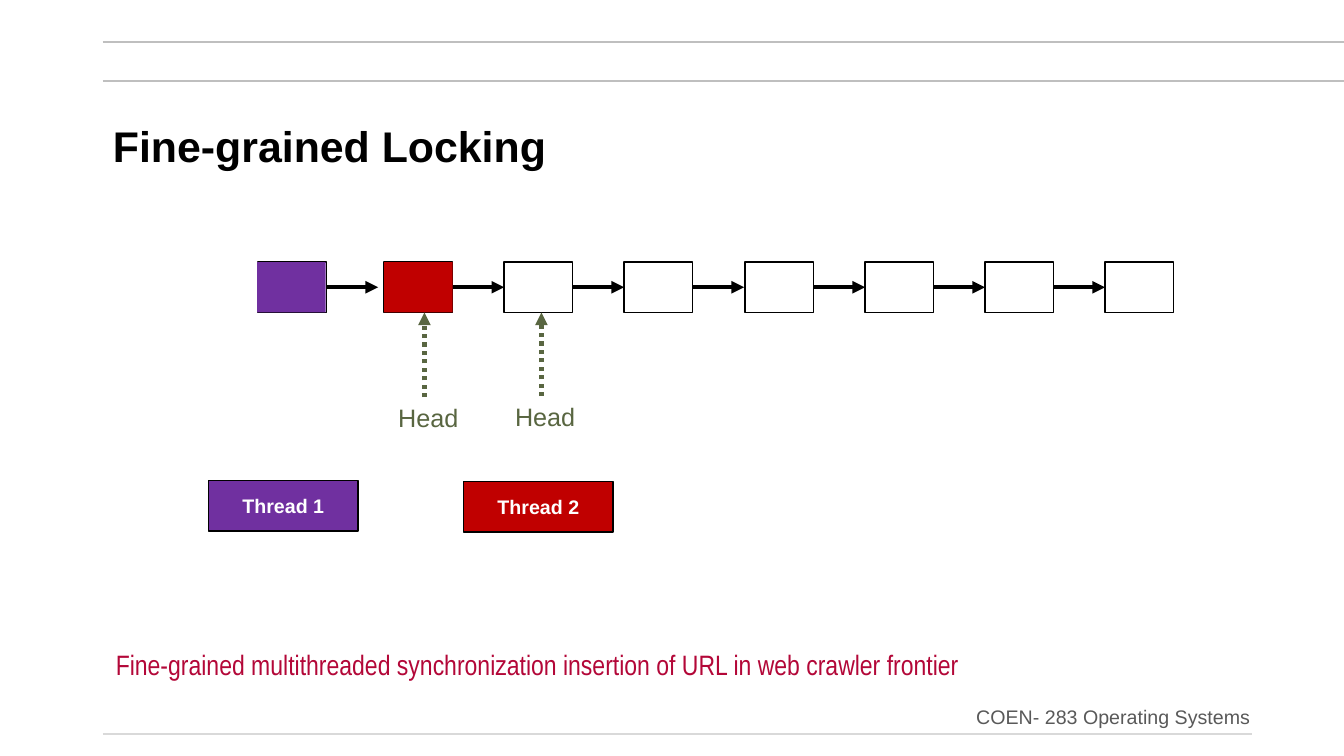
from dataclasses import dataclass

from lxml import etree
from pptx import Presentation
from pptx.dml.color import RGBColor
from pptx.enum.dml import MSO_LINE
from pptx.enum.shapes import MSO_CONNECTOR, MSO_SHAPE
from pptx.enum.text import MSO_ANCHOR, MSO_AUTO_SIZE, PP_ALIGN
from pptx.oxml.ns import qn
from pptx.util import Emu, Pt

PX = 9144  # 100 px to the inch
TITLE_ONLY = 5
RECT, STRAIGHT, DOT = MSO_SHAPE.RECTANGLE, MSO_CONNECTOR.STRAIGHT, MSO_LINE.ROUND_DOT
TOP, MIDDLE, BOTTOM = MSO_ANCHOR.TOP, MSO_ANCHOR.MIDDLE, MSO_ANCHOR.BOTTOM
LEFT, CENTER, RIGHT = PP_ALIGN.LEFT, PP_ALIGN.CENTER, PP_ALIGN.RIGHT


@dataclass(frozen=True)
class Theme:
    font: str = "Arial"
    narrow: str = "Arial Narrow"
    black: str = "000000"
    white: str = "FFFFFF"
    rule: str = "BFBFBF"
    base: str = "D9D9D9"
    grey: str = "595959"
    green: str = "596641"
    purple: str = "7030A0"
    red: str = "C00000"
    crimson: str = "B30738"
    title: float = 30.6
    note: int = 20
    label: int = 18
    small: int = 14


THEME = Theme()
NODE_W, NODE_H, NODE_Y = 68, 50, 260
FIRST_X, CHAIN_X, STEP, COUNT = 256, 381, 119.2, 7
LINK = 51


def px(*vals):
    return [Emu(round(v) * PX) for v in vals]


def rgb(code):
    return RGBColor.from_string(code)


def write(shape, text, size, color, font=THEME.font, bold=False,
          align=LEFT, anchor=TOP, wrap=True):
    frame = shape.text_frame
    frame.auto_size = MSO_AUTO_SIZE.NONE
    frame.word_wrap = wrap
    frame.vertical_anchor = anchor
    para = frame.paragraphs[0]
    para.alignment = align
    run = para.add_run()
    run.text = text
    run.font.name, run.font.size, run.font.bold = font, Pt(size), bold
    run.font.color.rgb = rgb(color)
    return para


def add_text(slide, box, text, size, color, **opts):
    return write(slide.shapes.add_textbox(*px(*box)), text, size, color, **opts)


def add_box(slide, box, fill, edge=True):
    shape = slide.shapes.add_shape(RECT, *px(*box))
    shape.shadow.inherit = False
    shape.fill.solid()
    shape.fill.fore_color.rgb = rgb(fill)
    if edge:
        shape.line.color.rgb = rgb(THEME.black)
        shape.line.width = Pt(1)
    else:
        shape.line.fill.background()
    return shape


def add_line(slide, ends, color, width, arrow=False, dash=None):
    line = slide.shapes.add_connector(STRAIGHT, *px(*ends))
    line.line.color.rgb = rgb(color)
    line.line.width = Pt(width)
    if dash:
        line.line.dash_style = dash
    props = line._element.spPr
    if arrow:
        etree.SubElement(props.find(qn("a:ln")), qn("a:tailEnd"), type="triangle")
    etree.SubElement(props, qn("a:effectLst"))


def add_title(slide, text):
    title = slide.shapes.title
    title.left, title.top, title.width, title.height = px(102, 128, 1139, 39)
    para = write(title, text, THEME.title, THEME.black, bold=True, anchor=MIDDLE)
    para.line_spacing = 0.9


def add_chain(slide):
    """Draw the linked list, then the fills of the nodes the threads hold."""
    nodes = [FIRST_X] + [round(CHAIN_X + i * STEP) for i in range(COUNT)]
    mid = NODE_Y + NODE_H // 2
    for x in nodes:
        add_box(slide, (x, NODE_Y, NODE_W, NODE_H), THEME.white)
    for x in nodes[:-1]:
        start = x + NODE_W
        add_line(slide, (start, mid, start + LINK, mid), THEME.black, 3, arrow=True)
    for x, fill in ((FIRST_X - 1, THEME.purple), (CHAIN_X, THEME.red)):
        add_box(slide, (x, NODE_Y, NODE_W, NODE_H), fill, edge=False)


def add_head(slide, x, y):
    add_line(slide, (x, y, x, NODE_Y + NODE_H), THEME.green, 3, arrow=True, dash=DOT)
    add_text(slide, (x - 36, y, 81, 40), "Head", THEME.label, THEME.green, wrap=False)


def add_thread(slide, x, y, text, fill):
    box = add_box(slide, (x, y, 148, 50), fill)
    write(box, text, THEME.small, THEME.white, bold=True, align=CENTER, anchor=MIDDLE)


def main():
    deck = Presentation()
    deck.slide_width, deck.slide_height = px(1333, 750)
    slide = deck.slides.add_slide(deck.slide_layouts[TITLE_ONLY])

    for y, end, color in ((80, 1333, THEME.rule), (42, 1333, THEME.rule),
                          (728, 1242, THEME.base)):
        add_line(slide, (102, y, end, y), color, 1.5)
    add_title(slide, "Fine-grained Locking")
    add_chain(slide)
    for x, y in ((421, 394), (537, 393)):
        add_head(slide, x, y)
    add_thread(slide, 207, 477, "Thread 1", THEME.purple)
    add_thread(slide, 460, 478, "Thread 2", THEME.red)
    add_text(slide, (105, 637, 1165, 44),
             "Fine-grained multithreaded synchronization insertion of URL"
             " in web crawler frontier",
             THEME.note, THEME.crimson, font=THEME.narrow)
    course = add_text(slide, (826, 684, 424, 44), "COEN- 283 Operating Systems",
                      THEME.small, THEME.grey, align=RIGHT, anchor=BOTTOM)
    course.line_spacing = 0.9
    deck.save("out.pptx")


if __name__ == "__main__":
    main()
